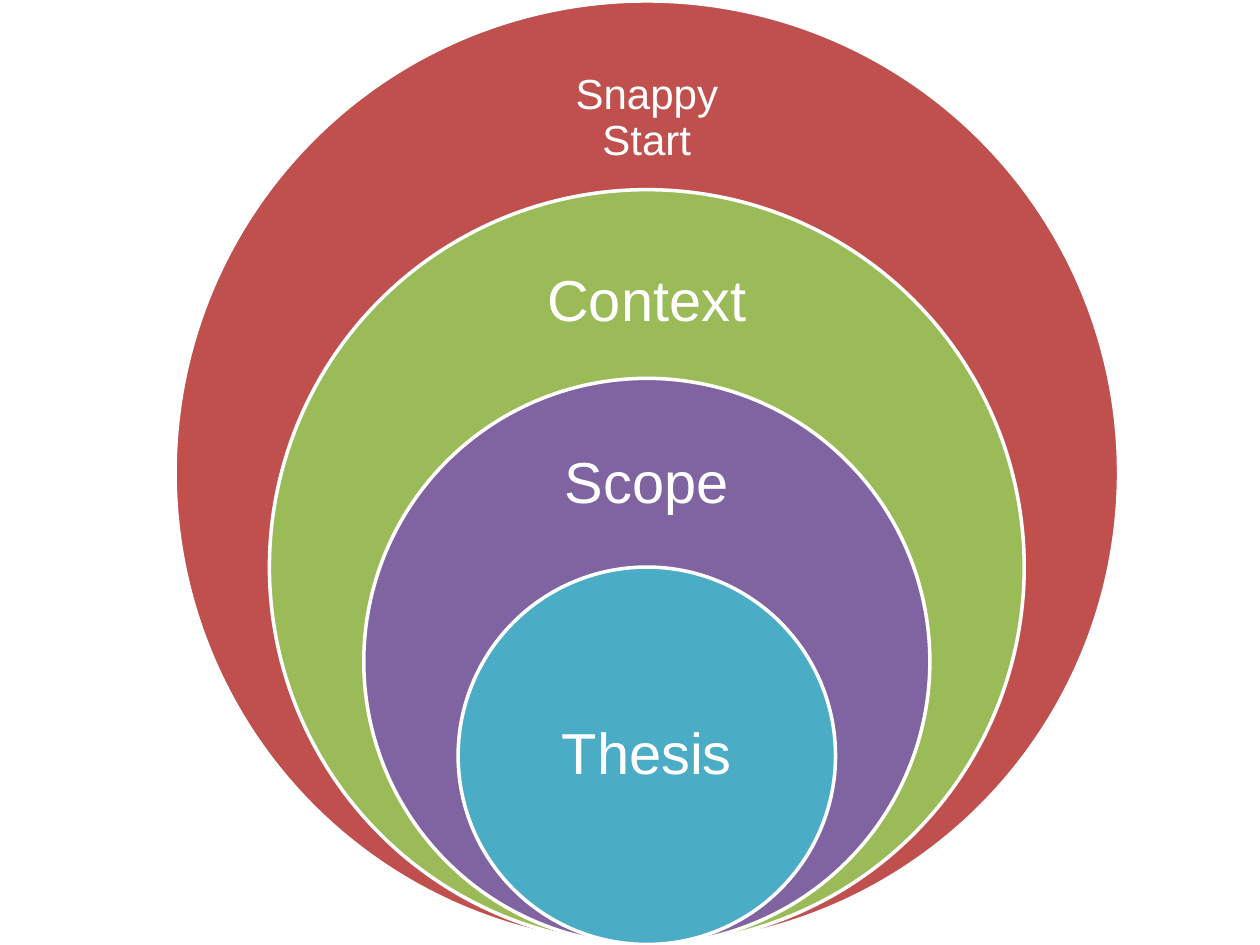
from pptx import Presentation
from pptx.dml.color import RGBColor
from pptx.enum.shapes import MSO_SHAPE
from pptx.enum.text import MSO_ANCHOR, PP_ALIGN
from pptx.util import Cm, Pt

WHITE = RGBColor(0xFF, 0xFF, 0xFF)
RED = RGBColor(0xC0, 0x50, 0x4D)
GREEN = RGBColor(0x9B, 0xBB, 0x59)
PURPLE = RGBColor(0x80, 0x64, 0xA2)
TEAL = RGBColor(0x4B, 0xAC, 0xC6)

# Text, fill, font size, then label top and height as shares of the diameter
RINGS = [
    ("Snappy Start", RED, 24, 0.05, 0.15),
    ("Context", GREEN, 33, 0.06, 0.18),
    ("Scope", PURPLE, 33, 0.075, 0.225),
    ("Thesis", TEAL, 33, 0.25, 0.5),
]
SHRINK = 0.2
LABEL_WIDTH = Cm(5.31)
INSET = Cm(0.48)


def add_disc(slide, left, top, size, color):
    disc = slide.shapes.add_shape(MSO_SHAPE.OVAL, left, top, size, size)
    disc.shadow.inherit = False
    disc.fill.solid()
    disc.fill.fore_color.rgb = color
    disc.line.color.rgb = WHITE
    disc.line.width = Pt(2)


def add_label(slide, left, top, width, height, text, points):
    frame = slide.shapes.add_textbox(left, top, width, height).text_frame
    frame.word_wrap = True
    frame.vertical_anchor = MSO_ANCHOR.MIDDLE
    frame.margin_left = frame.margin_right = INSET
    frame.margin_top = frame.margin_bottom = INSET
    frame.text = text
    para = frame.paragraphs[0]
    para.alignment = PP_ALIGN.CENTER
    para.line_spacing = 0.9
    font = para.runs[0].font
    font.name = "Arial"
    font.size = Pt(points)
    font.color.rgb = WHITE


def add_rings(slide, left, top, size):
    """Nest circles that shrink evenly and share their lowest point."""
    center = left + size // 2
    base = top + size
    for step, (text, color, points, drop, share) in enumerate(RINGS):
        span = int(size * (1 - SHRINK * step))
        crown = base - span
        add_disc(slide, center - span // 2, crown, span, color)
        add_label(slide, center - LABEL_WIDTH // 2, crown + int(span * drop),
                  LABEL_WIDTH, int(span * share), text, points)


def main():
    deck = Presentation()
    deck.slide_width = Cm(25.4)
    deck.slide_height = Cm(19.05)
    slide = deck.slides.add_slide(deck.slide_layouts[6])
    add_rings(slide, Cm(3.53), Cm(0.02), Cm(19.02))
    deck.save("out.pptx")


if __name__ == "__main__":
    main()
